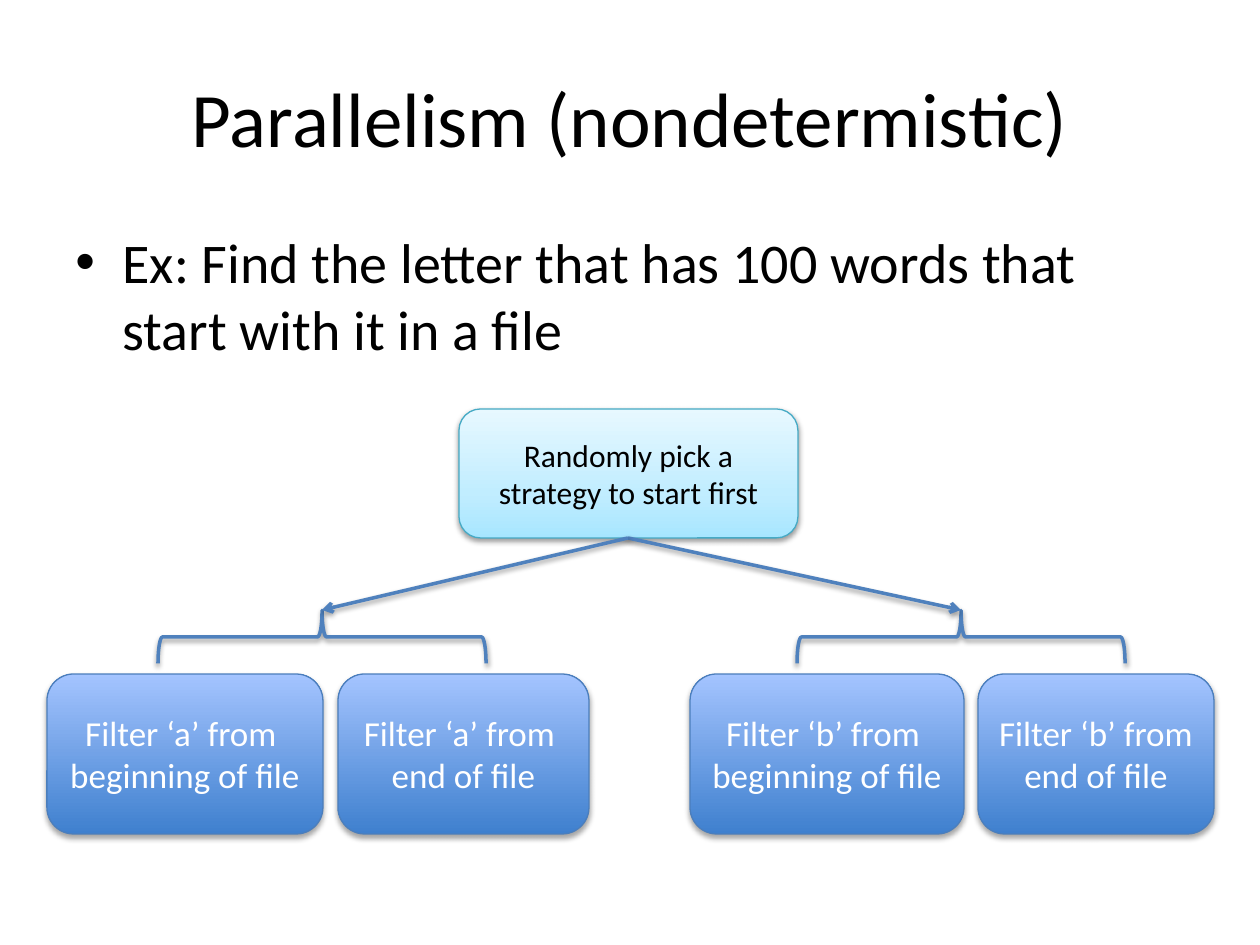
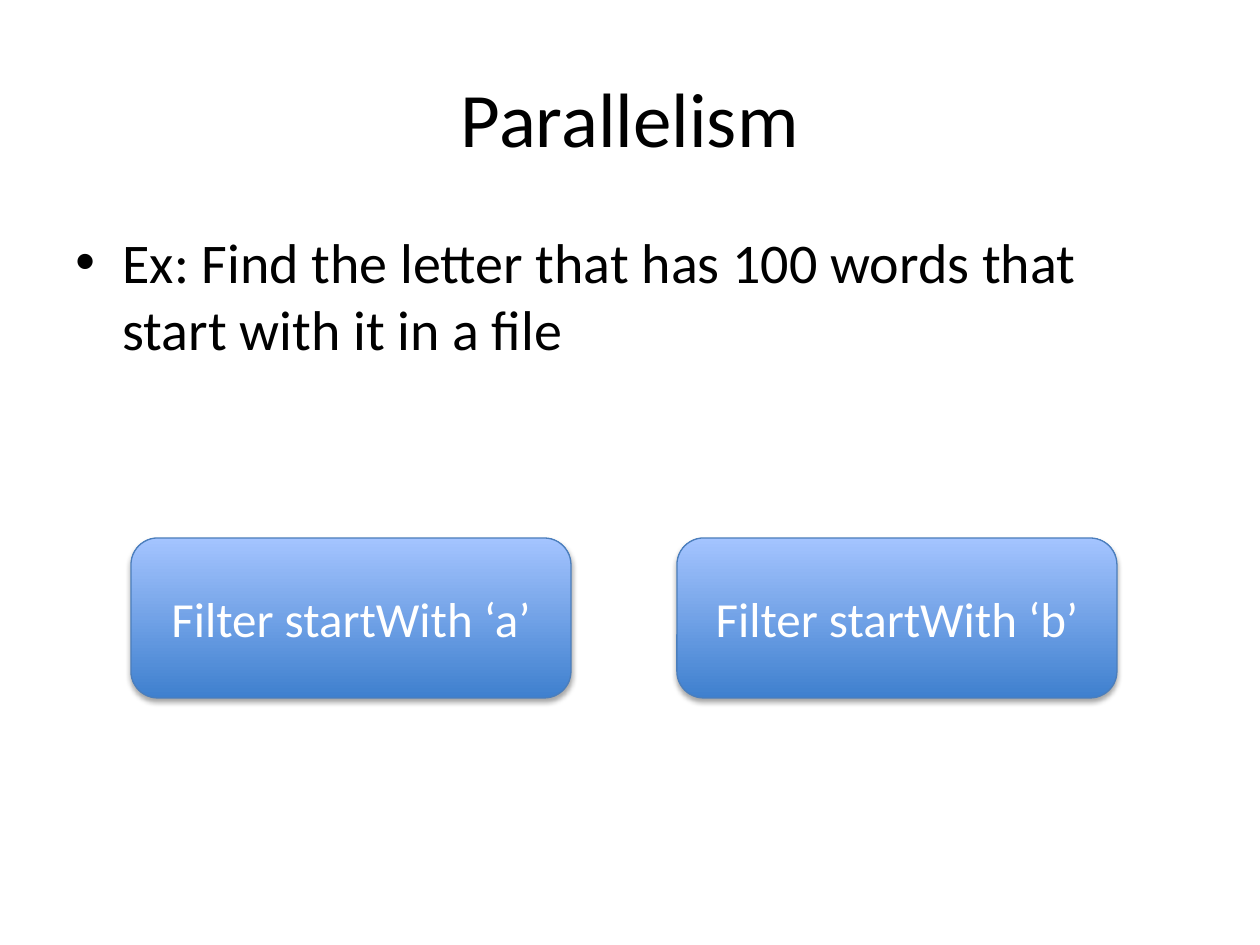
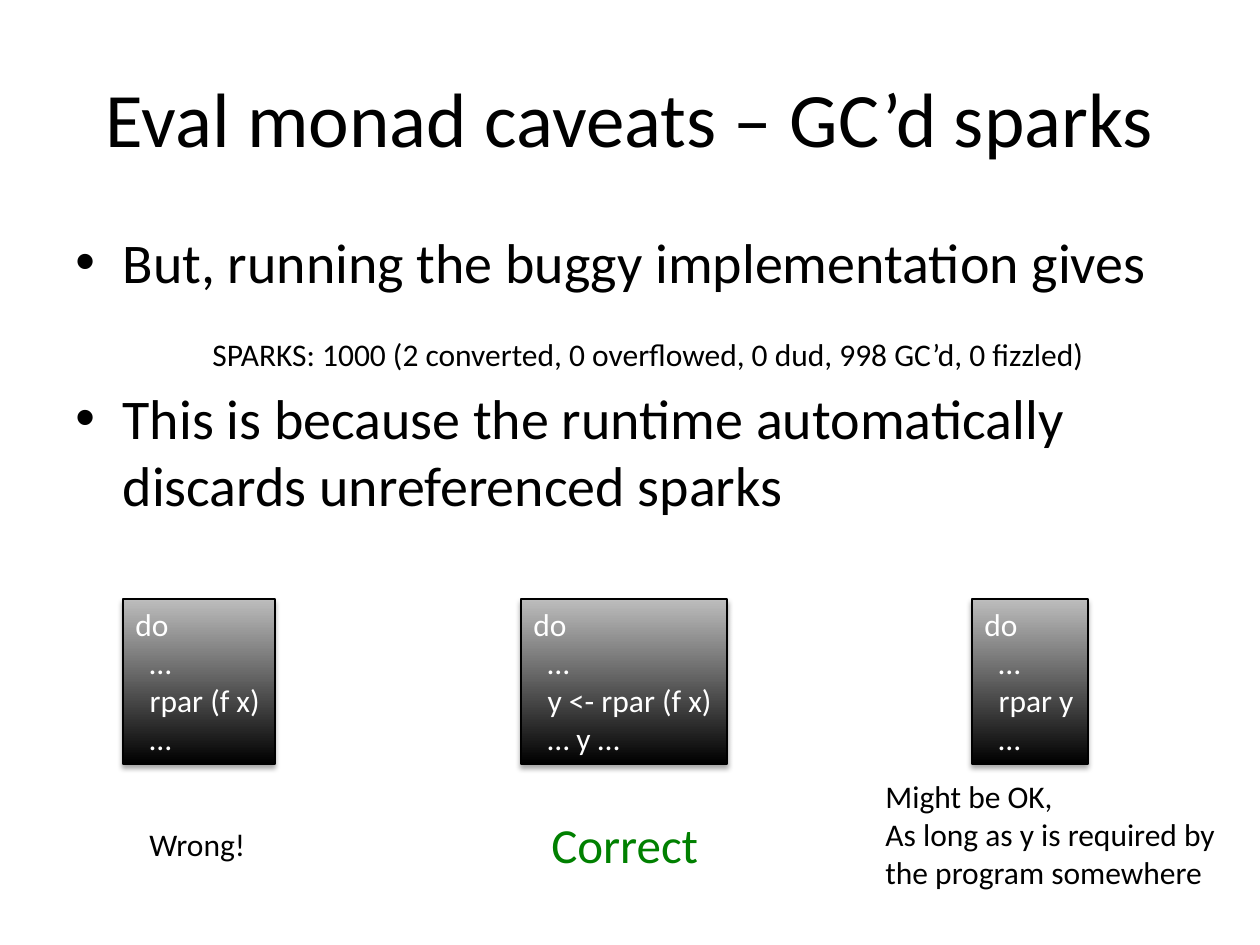
from lxml import etree
from pptx import Presentation
from pptx.dml.color import RGBColor
from pptx.enum import shapes, text
from pptx.oxml.ns import qn
from pptx.util import Emu, Pt

# Content
TASK = ["Ex: Find the letter that has 100 words that start with it in a file"]
HEADS = {
    "split": "Parallelism (nondetermistic)",
    "pair": "Parallelism",
    "sparks": "Eval monad caveats – GC’d sparks",
}
PICK = "Randomly pick a strategy to start first"
STEPS = [  # left, width, lines
    (47, 276, ["Filter ‘a’ from ", "beginning of file"]),
    (338, 251, ["Filter ‘a’ from ", "end of file"]),
    (690, 274, ["Filter ‘b’ from ", "beginning of file"]),
    (978, 236, ["Filter ‘b’ from ", "end of file"]),
]
TIPS = [961, 322]  # brace points, where the arrows end
PAIR = ["Filter startWith ‘a’", "Filter startWith ‘b’"]
CAUSE = [
    "But, running the buggy implementation gives",
    "This is because the runtime automatically discards unreferenced sparks",
]
STATS = "SPARKS: 1000 (2 converted, 0 overflowed, 0 dud, 998 GC’d, 0 fizzled)"
CODE = [  # left, width, lines
    (123, 152, ["do", "  …", "  rpar (f x)", "  …"]),
    (521, 206, ["do", "  …", "  y <- rpar (f x)", "  … y …"]),
    (972, 116, ["do", "  …", "  rpar y", "  …"]),
]
NOTES = [  # box, lines, size, colour
    ((137, 819, 123, 50), ["Wrong!"], "small", "ink"),
    ((539, 808, 175, 72), ["Correct"], "large", "good"),
    ((873, 771, 359, 127),
     ["Might be OK,", "As long as y is required by", "the program somewhere"],
     "small", "ink"),
]

# Theme
PX = 914400 / 126
THEME = {
    "font": "Calibri",
    "ink": "000000", "pale": "FFFFFF", "good": "008000", "link": "4F81BD",
    "title": 44, "body": 32, "large": 28, "mid": 20, "small": 18,
}
LOOKS = {  # gradient stops from the bottom up, edge colour, shadow opacity
    "blue": ([(0, "3F80CE"), (100, "A4C4FF")], "4B7EBC", 35),
    "aqua": ([(0, "A7E6FF"), (35, "C1EDFF"), (100, "E7F8FF")], "46AAC5", 38),
    "dark": ([(0, "000000"), (100, "BDBDBD")], "000000", 35),
}
MID = {"vertical_anchor": text.MSO_ANCHOR.MIDDLE, "word_wrap": True}
TOP = {"vertical_anchor": text.MSO_ANCHOR.TOP, "word_wrap": True}
FIT = {"vertical_anchor": text.MSO_ANCHOR.TOP, "word_wrap": False,
       "auto_size": text.MSO_AUTO_SIZE.SHAPE_TO_FIT_TEXT}
LEFT, MIDDLE = text.PP_ALIGN.LEFT, text.PP_ALIGN.CENTER
KIND = shapes.MSO_SHAPE


# Helpers
def px(*vals):
    return [Emu(round(v * PX)) for v in vals]


def apply(item, form):
    for key, val in form.items():
        setattr(item, key, val)


def add(node, tag, **attrs):
    return etree.SubElement(node, qn(tag), {k: str(v) for k, v in attrs.items()})


def tint(node, hue):
    return add(node, "a:srgbClr", val=hue)


def write(frame, lines, size, hue, align=LEFT, form=FIT):
    apply(frame, form)
    for i, line in enumerate(lines):
        para = frame.add_paragraph() if i else frame.paragraphs[0]
        para.alignment = align
        run = para.add_run()
        run.text = line
        apply(run.font, {"name": THEME["font"], "size": Pt(THEME[size])})
        run.font.color.rgb = RGBColor.from_string(THEME[hue])


def edge(item, hue, width):
    item.line.color.rgb = RGBColor.from_string(hue)
    item.line.width = Pt(width)


def shade(item, alpha, drop=1.6):
    glow = add(add(item._element.spPr, "a:effectLst"), "a:outerShdw",
               blurRad=Pt(3.1), dist=Pt(drop), dir=5400000, rotWithShape=0)
    add(tint(glow, "000000"), "a:alpha", val=alpha * 1000)


def block(slide, kind, box, look):
    stops, rim, alpha = LOOKS[look]
    item = slide.shapes.add_shape(kind, *px(*box))
    item.fill.gradient()
    item.fill.gradient_angle = 90
    ramp = item._element.spPr.find(".//" + qn("a:gsLst"))
    for old in list(ramp):
        ramp.remove(old)
    for pos, hue in stops:
        tint(add(ramp, "a:gs", pos=pos * 1000), hue)
    edge(item, rim, 0.75)
    shade(item, alpha, 1.6 if look == "aqua" else 1.8)
    return item.text_frame


def note(slide, box, lines, size="small", hue="ink"):
    frame = slide.shapes.add_textbox(*px(*box)).text_frame
    write(frame, lines, size, hue)


def brace(slide, tip):
    wide, tall = 53, 328
    item = slide.shapes.add_shape(
        KIND.LEFT_BRACE, *px(tip - wide / 2, 637 - tall / 2, wide, tall))
    item.rotation = 90
    item.fill.background()
    edge(item, THEME["link"], 2)
    shade(item, 38)


def arrow(slide, tip):
    item = slide.shapes.add_connector(
        shapes.MSO_CONNECTOR.STRAIGHT, *px(628, 538, tip, 610))
    edge(item, THEME["link"], 2)
    add(item._element.spPr.find(qn("a:ln")), "a:tailEnd", type="arrow")
    shade(item, 38)


def page(deck, head, points, gap=0):
    slide = deck.slides.add_slide(deck.slide_layouts[5])
    title = slide.shapes.title
    apply(title, dict(zip(("left", "top", "width", "height"),
                          px(63, 38, 1134, 157))))
    write(title.text_frame, [head], "title", "ink", MIDDLE, MID)
    body = slide.shapes.add_textbox(*px(63, 221, 1134, 624)).text_frame
    write(body, points, "body", "ink", form=TOP)
    for i, para in enumerate(body.paragraphs):
        if i:
            para.space_before = Pt(gap)
        prop = para._p.get_or_add_pPr()
        prop.set("marL", "342900")
        prop.set("indent", "-342900")
        add(prop, "a:buFont", typeface="Arial")
        add(prop, "a:buChar", char="•")
    return slide


# Slides
def split(deck):
    slide = page(deck, HEADS["split"], TASK)
    for left, wide, lines in STEPS:
        frame = block(slide, KIND.ROUNDED_RECTANGLE, (left, 674, wide, 160), "blue")
        write(frame, lines, "mid", "pale", MIDDLE, MID)
    frame = block(slide, KIND.ROUNDED_RECTANGLE, (459, 409, 339, 129), "aqua")
    write(frame, [PICK], "small", "ink", MIDDLE, MID)
    for draw in (brace, arrow):
        for tip in TIPS:
            draw(slide, tip)


def pair(deck):
    slide = page(deck, HEADS["pair"], TASK)
    for i, line in enumerate(PAIR):
        box = (131 + i * 546, 538, 440, 160)
        frame = block(slide, KIND.ROUNDED_RECTANGLE, box, "blue")
        write(frame, [line], "large", "pale", MIDDLE, MID)


def sparks(deck):
    slide = page(deck, HEADS["sparks"], CAUSE, gap=51)
    note(slide, (200, 329, 911, 50), [STATS])
    for left, wide, lines in CODE:
        frame = block(slide, KIND.RECTANGLE, (left, 599, wide, 165), "dark")
        write(frame, lines, "small", "pale")
    for args in NOTES:
        note(slide, *args)


def main():
    deck = Presentation()
    deck.slide_width, deck.slide_height = px(1260, 945)
    for build in (split, pair, sparks):
        build(deck)
    deck.save("out.pptx")


if __name__ == "__main__":
    main()
